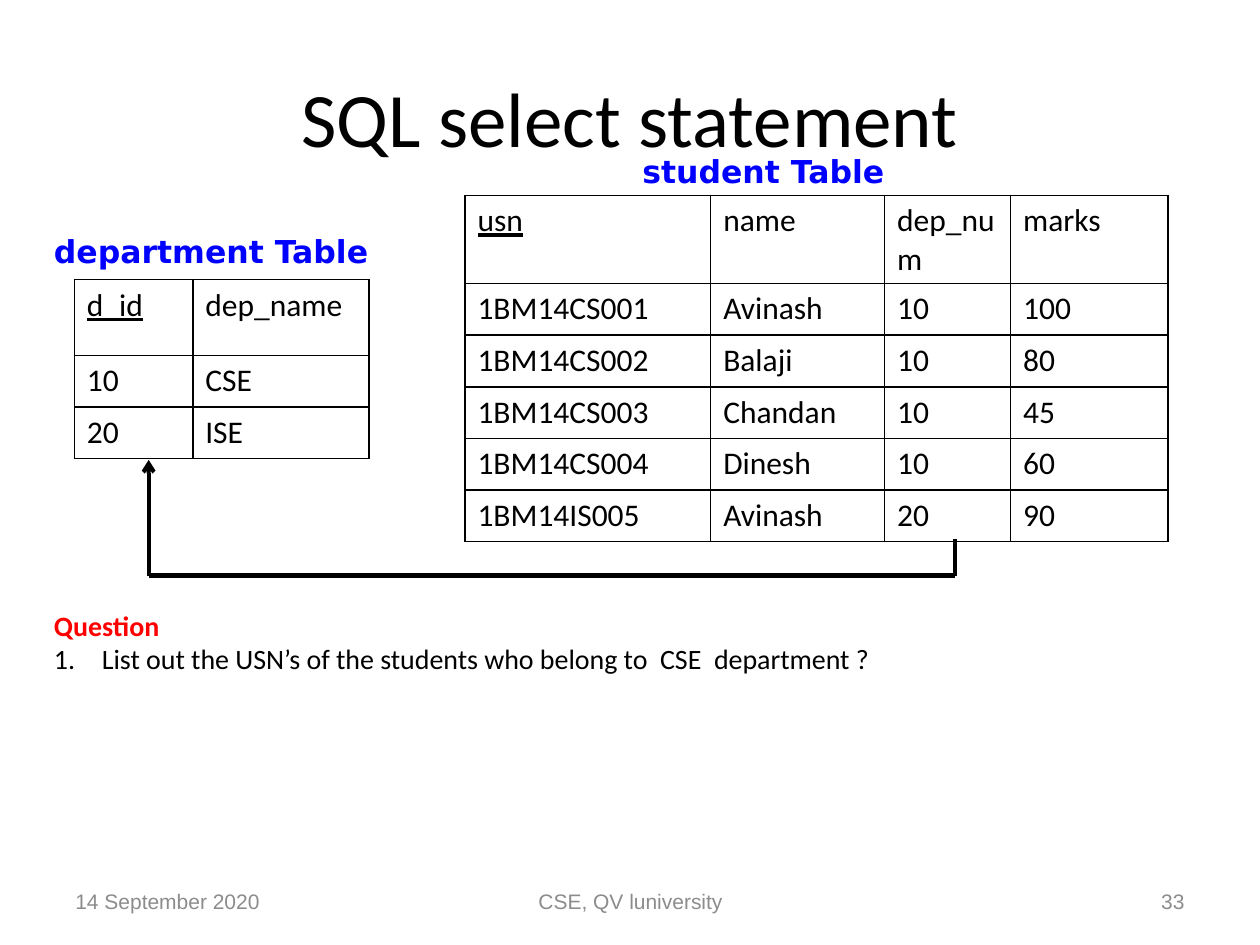
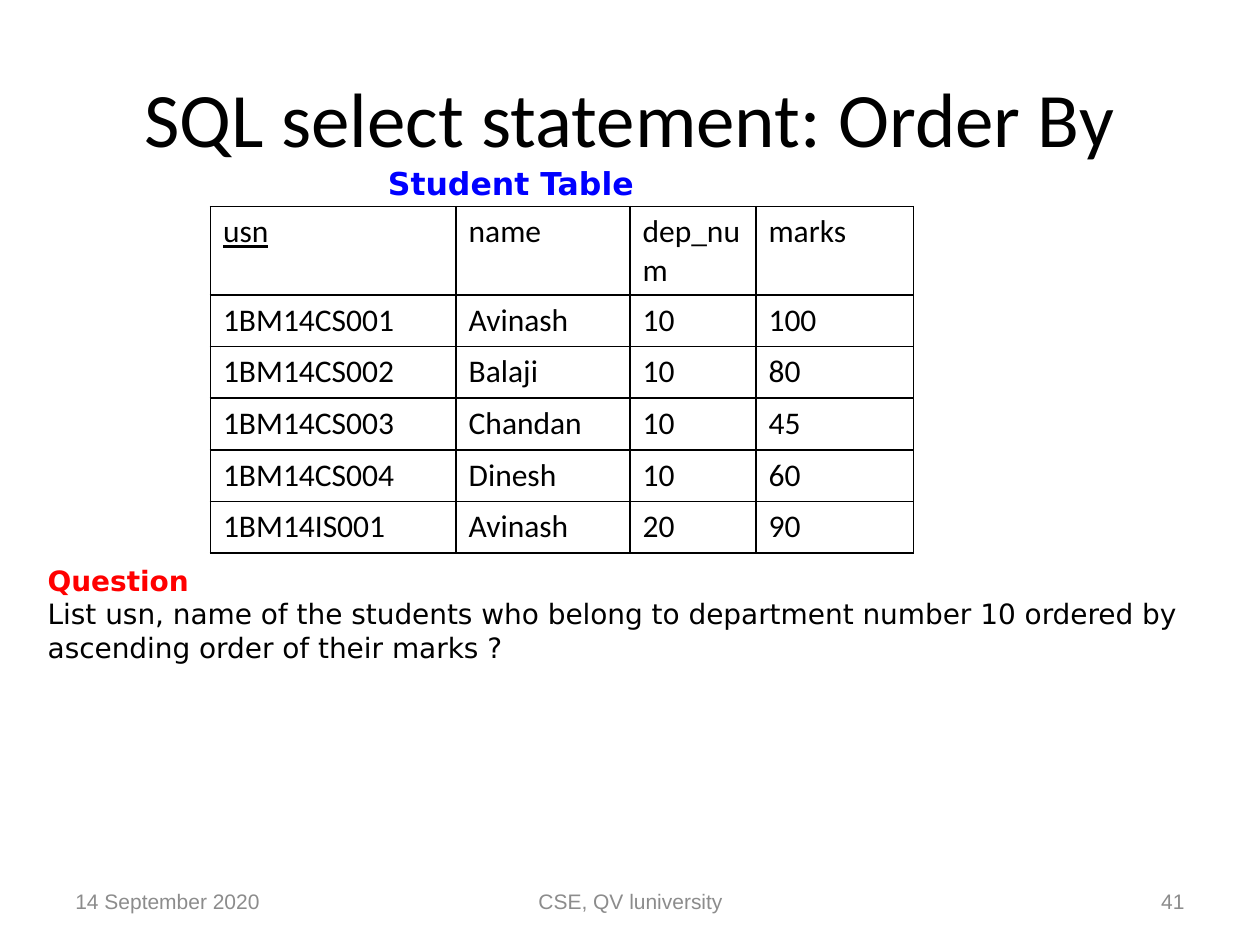
from dataclasses import dataclass

from lxml.etree import SubElement
from pptx import Presentation
from pptx.dml.color import RGBColor
from pptx.enum.shapes import MSO_CONNECTOR
from pptx.enum.text import MSO_ANCHOR, PP_ALIGN
from pptx.oxml.ns import qn
from pptx.presentation import Presentation as Deck
from pptx.shapes.autoshape import Shape
from pptx.slide import Slide
from pptx.table import _Cell as Cell
from pptx.util import Emu, Pt

EMU_PER_PX = 9144
BLACK = "000000"
BLUE = "0000FF"
RED = "FF0000"
GREY = "8C8C8C"
BODY_FONT = "Calibri"
LABEL_FONT = "DejaVu Sans"
FOOTER_FONT = "Arial"
HEADER_HEIGHT = 60
ROW_HEIGHT = 41
NUMBER_INDENT = 38


@dataclass(frozen=True)
class Box:
    left: int
    top: int
    width: int
    height: int


@dataclass(frozen=True)
class Style:
    font: str
    size: int
    color: str = BLACK
    bold: bool = False
    underline: bool = False


@dataclass(frozen=True)
class Line:
    text: str
    style: Style
    numbered: bool = False


@dataclass(frozen=True)
class Grid:
    left: int
    top: int
    columns: tuple[int, ...]
    rows: tuple[tuple[str, ...], ...]


@dataclass(frozen=True)
class Link:
    start: tuple[int, int]
    end: tuple[int, int]
    weight: float
    arrow: bool = False


TITLE = Style(BODY_FONT, 44)
TABLE_LABEL = Style(LABEL_FONT, 18, BLUE, bold=True)
FOOTER = Style(FOOTER_FONT, 12, GREY)
CELL = Style(BODY_FONT, 18)
KEY_CELL = Style(BODY_FONT, 18, underline=True)

TITLE_BOX = Box(50, 30, 900, 125)
DATE_BOX = Box(50, 695, 233, 40)
FOOTER_BOX = Box(342, 695, 317, 40)
NUMBER_BOX = Box(717, 695, 233, 40)


def px(length: int) -> Emu:
    return Emu(length * EMU_PER_PX)


def rgb(color: str) -> RGBColor:
    return RGBColor.from_string(color)


def format_paragraph(paragraph, style: Style) -> None:
    for run in paragraph.runs:
        font = run.font
        font.name = style.font
        font.size = Pt(style.size)
        font.color.rgb = rgb(style.color)
        font.bold = style.bold
        font.underline = style.underline


def number_paragraph(paragraph) -> None:
    properties = paragraph._p.get_or_add_pPr()
    properties.set("marL", str(px(NUMBER_INDENT)))
    properties.set("indent", str(px(-NUMBER_INDENT)))
    SubElement(properties, qn("a:buFont"), typeface="+mj-lt")
    SubElement(properties, qn("a:buAutoNum"), type="arabicPeriod")


def add_text(
    slide: Slide,
    box: Box,
    lines: list[Line],
    align: PP_ALIGN = PP_ALIGN.LEFT,
    anchor: MSO_ANCHOR = MSO_ANCHOR.TOP,
) -> Shape:
    shape = slide.shapes.add_textbox(
        px(box.left), px(box.top), px(box.width), px(box.height)
    )
    text_frame = shape.text_frame
    text_frame.text = "\n".join(line.text for line in lines)
    text_frame.word_wrap = True
    text_frame.vertical_anchor = anchor
    for paragraph, line in zip(text_frame.paragraphs, lines):
        paragraph.alignment = align
        format_paragraph(paragraph, line.style)
        if line.numbered:
            number_paragraph(paragraph)
    return shape


def outline_cell(cell: Cell) -> None:
    properties = cell._tc.get_or_add_tcPr()
    for side in ("lnL", "lnR", "lnT", "lnB"):
        border = SubElement(properties, qn(f"a:{side}"), w=str(Pt(1)))
        fill = SubElement(border, qn("a:solidFill"))
        SubElement(fill, qn("a:srgbClr"), val=BLACK)
    cell.fill.background()


def add_grid(slide: Slide, grid: Grid) -> None:
    heights = [HEADER_HEIGHT] + [ROW_HEIGHT] * (len(grid.rows) - 1)
    table = slide.shapes.add_table(
        len(grid.rows),
        len(grid.columns),
        px(grid.left),
        px(grid.top),
        px(sum(grid.columns)),
        px(sum(heights)),
    ).table
    table.first_row = False
    table.horz_banding = False
    for column, width in zip(table.columns, grid.columns):
        column.width = px(width)
    for row, height in zip(table.rows, heights):
        row.height = px(height)
    for row_index, values in enumerate(grid.rows):
        for column_index, value in enumerate(values):
            cell = table.cell(row_index, column_index)
            cell.text_frame.text = value
            is_key = row_index == 0 and column_index == 0
            format_paragraph(
                cell.text_frame.paragraphs[0], KEY_CELL if is_key else CELL
            )
            outline_cell(cell)


def add_link(slide: Slide, link: Link) -> None:
    connector = slide.shapes.add_connector(
        MSO_CONNECTOR.STRAIGHT,
        *(px(value) for value in link.start + link.end),
    )
    connector.line.color.rgb = rgb(BLACK)
    connector.line.width = Pt(link.weight)
    properties = connector._element.spPr
    if link.arrow:
        SubElement(properties.find(qn("a:ln")), qn("a:tailEnd"), type="arrow")
    SubElement(properties, qn("a:effectLst"))


def add_base_slide(presentation: Deck, title: str, number: int) -> Slide:
    slide = presentation.slides.add_slide(presentation.slide_layouts[6])
    frame_texts = (
        (TITLE_BOX, title, TITLE, PP_ALIGN.CENTER),
        (DATE_BOX, "14 September 2020", FOOTER, PP_ALIGN.LEFT),
        (FOOTER_BOX, "CSE, QV luniversity", FOOTER, PP_ALIGN.CENTER),
        (NUMBER_BOX, str(number), FOOTER, PP_ALIGN.RIGHT),
    )
    for box, text, style, align in frame_texts:
        add_text(slide, box, [Line(text, style)], align, MSO_ANCHOR.MIDDLE)
    return slide


def add_question(
    slide: Slide, box: Box, font: str, texts: list[str], numbered: bool = False
) -> None:
    heading = Line("Question", Style(font, 16, RED, bold=True))
    body = [Line(text, Style(font, 16), numbered) for text in texts]
    add_text(slide, box, [heading, *body])


def student_grid(left: int, top: int, last_usn: str) -> Grid:
    rows = (
        ("usn", "name", "dep_num", "marks"),
        ("1BM14CS001", "Avinash", "10", "100"),
        ("1BM14CS002", "Balaji", "10", "80"),
        ("1BM14CS003", "Chandan", "10", "45"),
        ("1BM14CS004", "Dinesh", "10", "60"),
        (last_usn, "Avinash", "20", "90"),
    )
    return Grid(left, top, (195, 138, 100, 125), rows)


def build_select_slide(presentation: Deck) -> None:
    slide = add_base_slide(presentation, "SQL select statement", 33)
    departments = Grid(
        59, 222, (94, 140), (("d_id", "dep_name"), ("10", "CSE"), ("20", "ISE"))
    )
    add_grid(slide, departments)
    add_text(slide, Box(33, 179, 272, 40), [Line("department Table", TABLE_LABEL)])
    add_text(slide, Box(500, 116, 215, 40), [Line("student Table", TABLE_LABEL)])
    department_x, student_x, turn_y = 118, 758, 457
    add_link(slide, Link((department_x, turn_y), (student_x, turn_y), 3))
    add_link(
        slide, Link((department_x, turn_y), (department_x, 365), 2.25, arrow=True)
    )
    add_grid(slide, student_grid(369, 155, "1BM14IS005"))
    add_link(slide, Link((student_x, 428), (student_x, turn_y), 2.25))
    add_question(
        slide,
        Box(33, 478, 842, 64),
        BODY_FONT,
        ["List out the USN’s of the students who belong to  CSE  department ?"],
        numbered=True,
    )


def build_order_slide(presentation: Deck) -> None:
    slide = add_base_slide(presentation, "SQL select statement: Order By", 41)
    add_text(slide, Box(298, 125, 218, 40), [Line("Student Table", TABLE_LABEL)])
    add_grid(slide, student_grid(167, 164, "1BM14IS001"))
    add_question(
        slide,
        Box(28, 442, 942, 91),
        LABEL_FONT,
        [
            "List usn, name of the students who belong to department number 10 ordered by",
            "ascending order of their marks ?",
        ],
    )


def main() -> None:
    presentation = Presentation()
    presentation.slide_width = px(1000)
    presentation.slide_height = px(750)
    build_select_slide(presentation)
    build_order_slide(presentation)
    presentation.save("out.pptx")


if __name__ == "__main__":
    main()
